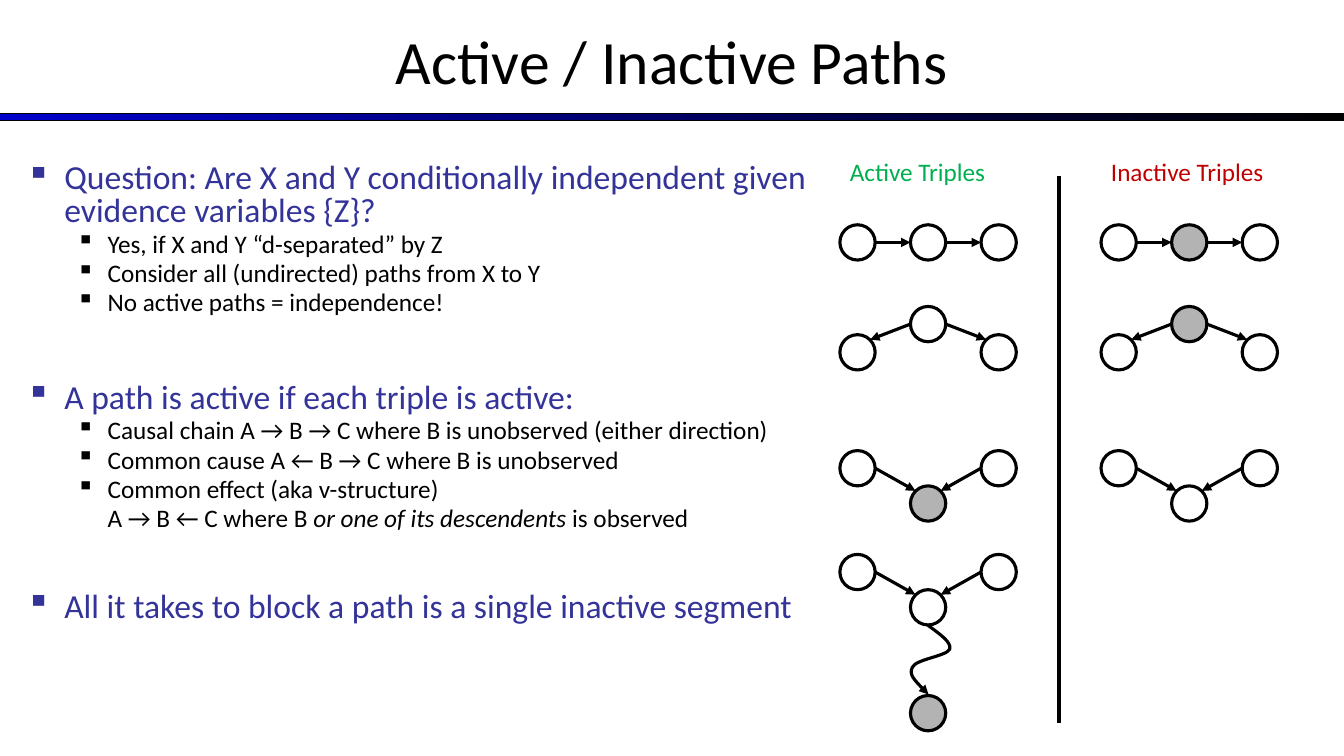
from lxml import etree
from pptx import Presentation
from pptx.dml.color import RGBColor
from pptx.enum.shapes import MSO_CONNECTOR, MSO_SHAPE
from pptx.enum.text import MSO_ANCHOR, PP_ALIGN
from pptx.oxml.ns import qn
from pptx.util import Inches, Pt

BLACK = RGBColor(0x00, 0x00, 0x00)
WHITE = RGBColor(0xFF, 0xFF, 0xFF)
GRAY = RGBColor(0xB3, 0xB3, 0xB3)
BLUE = RGBColor(0x00, 0x00, 0xCC)
INDIGO = RGBColor(0x33, 0x33, 0x99)
GREEN = RGBColor(0x00, 0xB0, 0x50)
RED = RGBColor(0xC0, 0x00, 0x00)
RECT = MSO_SHAPE.RECTANGLE
OVAL = MSO_SHAPE.OVAL
STRAIGHT = MSO_CONNECTOR.STRAIGHT
MIDDLE = MSO_ANCHOR.MIDDLE
CENTER = PP_ALIGN.CENTER
FONT = "Calibri"
SIZE, STEP = 0.35, 0.7
HALF, SPAN = SIZE / 2, 2 * STEP + SIZE

deck = Presentation()
deck.slide_width, deck.slide_height = Inches(13.33), Inches(7.5)
slide = deck.slides.add_slide(deck.slide_layouts[5])
shapes = slide.shapes


def add_line(x1, y1, x2, y2, width=2.25, head=True):
    line = shapes.add_connector(STRAIGHT, Inches(x1), Inches(y1), Inches(x2), Inches(y2))
    line.line.color.rgb = BLACK
    line.line.width = Pt(width)
    props = line._element.spPr
    if head:
        etree.SubElement(props.find(qn("a:ln")), qn("a:tailEnd"), type="triangle")
    etree.SubElement(props, qn("a:effectLst"))


def add_node(left, top, fill):
    node = shapes.add_shape(OVAL, Inches(left), Inches(top), Inches(SIZE), Inches(SIZE))
    node.shadow.inherit = False
    node.fill.solid()
    node.fill.fore_color.rgb = fill
    node.line.color.rgb = BLACK
    node.line.width = Pt(2.25)


bar = shapes.add_shape(RECT, 0, Inches(1.13), deck.slide_width, Inches(0.07))
bar.shadow.inherit = False
bar.fill.gradient()
bar.fill.gradient_angle = 0
for stop, color in zip(bar.fill.gradient_stops, (BLUE, BLACK)):
    stop.color.rgb = color
bar.line.color.rgb = BLACK
bar.line.width = Pt(0.75)

title = shapes.title
title.left, title.top = 0, Inches(-0.03)
title.width, title.height = deck.slide_width, Inches(1.25)
title.text_frame.text = "Active / Inactive Paths"
title.text_frame.vertical_anchor = MIDDLE
head = title.text_frame.paragraphs[0]
head.alignment = CENTER
head.font.size, head.font.name, head.font.color.rgb = Pt(44), FONT, BLACK

points = [
    (0, 4.8, True, ["Question: Are X and Y conditionally independent given evidence variables {Z}?"]),
    (1, 3.6, True, ["Yes, if X and Y “d-separated” by Z"]),
    (1, 3.6, True, ["Consider all (undirected) paths from X to Y"]),
    (1, 3.6, True, ["No active paths = independence!"]),
    (0, 47.7, True, ["A path is active if each triple is active:"]),
    (1, 3.6, True, ["Causal chain A → B → C where B is unobserved (either direction)"]),
    (1, 3.6, True, ["Common cause A ← B → C where B is unobserved"]),
    (1, 3.6, True, ["Common effect (aka v-structure)"]),
    (1, 3.6, False, ["A → B ← C where B ", "or one of its descendents", " is observed"]),
    (0, 43, True, ["All it takes to block a path is a single inactive segment"]),
]
styles = [(24, INDIGO, 0.38, 0.38), (18, BLACK, 0.81, 0.31)]
body = shapes.add_textbox(Inches(0.16), Inches(1.58), Inches(8.26), Inches(5.5)).text_frame
body.word_wrap = True
for i, (level, gap, mark, parts) in enumerate(points):
    size, color, indent, hang = styles[level]
    para = body.add_paragraph() if i else body.paragraphs[0]
    para.level = level
    para.line_spacing = 0.8
    para.space_before = Pt(gap)
    para.font.size, para.font.name, para.font.color.rgb = Pt(size), FONT, color
    for j, part in enumerate(parts):
        run = para.add_run()
        run.text = part
        if j == 1:
            run.font.italic = True
    props = para._p.get_or_add_pPr()
    props.set("marL", str(Inches(indent)))
    props.set("indent", str(-Inches(hang) if mark else 0))
    if mark:
        tint = etree.Element(qn("a:buClr"))
        etree.SubElement(tint, qn("a:srgbClr"), val=str(color))
        sign = etree.Element(qn("a:buChar"), char="▪")
        place = props.index(props.find(qn("a:spcBef"))) + 1
        props.insert(place, tint)
        props.insert(place + 1, sign)

LEFT, RIGHT = 8.33, 10.92
triples = [
    (LEFT, 2.23, 2.23, WHITE),
    (RIGHT, 2.23, 2.23, GRAY),
    (LEFT, 3.32, 3.04, WHITE),
    (RIGHT, 3.32, 3.04, GRAY),
    (RIGHT, 4.47, 4.82, WHITE),
    (LEFT, 4.47, 4.82, GRAY),
    (LEFT, 5.5, 5.85, WHITE),
]
for left, side, mid, fill in triples:
    add_node(left, side, WHITE)
    add_node(left + STEP, mid, fill)
    add_node(left + 2 * STEP, side, WHITE)
    if mid == side:
        for x in (left + SIZE, left + STEP + SIZE):
            add_line(x, mid + HALF, x + STEP - SIZE, mid + HALF)
        continue
    if mid < side:
        x1, y1, x2, y2 = STEP, mid + HALF, SIZE - 0.05, side + 0.05
    else:
        x1, y1, x2, y2 = SIZE, side + HALF, STEP + 0.05, mid + 0.05
    add_line(left + x1, y1, left + x2, y2)
    add_line(left + SPAN - x1, y1, left + SPAN - x2, y2)

add_node(LEFT + STEP, 6.9, GRAY)
bends = [
    (9.32, 6.29), (9.44, 6.37), (9.42, 6.44),
    (9.39, 6.51), (9.08, 6.54), (9.05, 6.62),
    (9.01, 6.69), (9.11, 6.79), (9.21, 6.89),
]
pen = shapes.build_freeform(Inches(9.2), Inches(6.2))
pen.add_line_segments([(Inches(x), Inches(y)) for x, y in bends], close=False)
wave = pen.convert_to_shape()
wave.shadow.inherit = False
wave.fill.background()
wave.line.color.rgb = BLACK
wave.line.width = Pt(2.25)
etree.SubElement(wave._element.spPr.find(qn("a:ln")), qn("a:tailEnd"), type="triangle")
legs = list(wave._element.iter(qn("a:lnTo")))
for i in range(0, len(legs), 3):
    curve = etree.SubElement(legs[i].getparent(), qn("a:cubicBezTo"))
    for leg in legs[i:i + 3]:
        curve.append(leg[0])
        leg.getparent().remove(leg)

add_line(10.5, 1.75, 10.5, 7.17, width=3, head=False)

for left, width, text, color in [
    (LEFT, 1.75, "Active Triples", GREEN),
    (RIGHT, 1.92, "Inactive Triples", RED),
]:
    label = shapes.add_textbox(Inches(left), Inches(1.5), Inches(width), Inches(0.4)).text_frame
    label.word_wrap = True
    label.text = text
    font = label.paragraphs[0].font
    font.size, font.name, font.color.rgb = Pt(18), FONT, color

deck.save("out.pptx")
